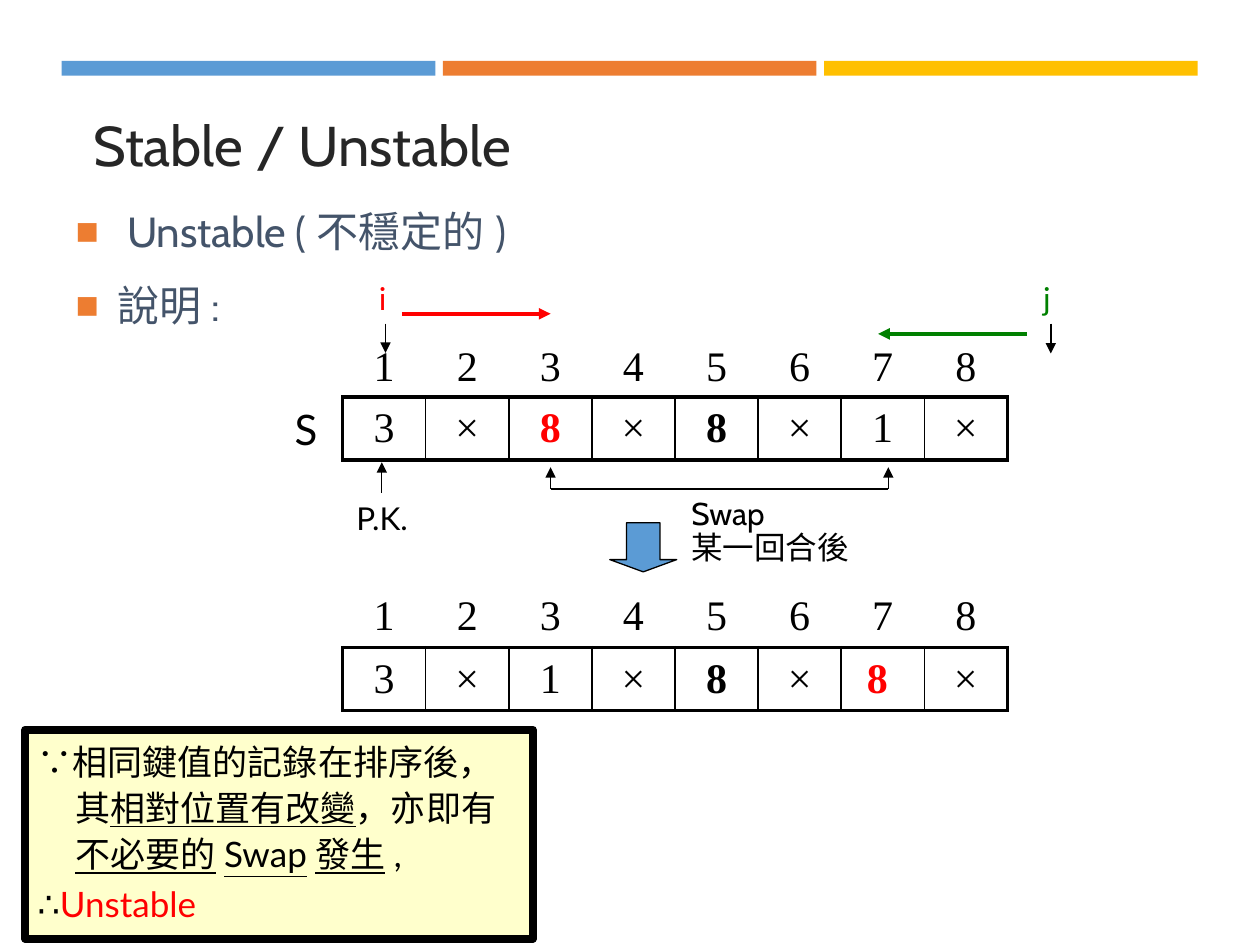
import dataclasses
import typing

import lxml.etree
import pptx
import pptx.dml.color
import pptx.enum.shapes
import pptx.enum.text
import pptx.oxml.ns
import pptx.util

Pt = pptx.util.Pt
qn = pptx.oxml.ns.qn
Kind = pptx.enum.shapes.MSO_SHAPE
Fit = pptx.enum.text.MSO_AUTO_SIZE
Side = pptx.enum.text.PP_ALIGN
Mid = pptx.enum.text.MSO_ANCHOR.MIDDLE
BLACK, RED, GREEN = "000000", "FF0000", "008000"
BLUE, ORANGE, GOLD = "5B9BD5", "ED7D31", "FFC000"


@dataclasses.dataclass
class Box:
    left: float
    top: float
    width: float
    height: float


@dataclasses.dataclass
class Label:
    text: str
    box: Box
    face: str = "Lato"
    size: float = 18
    hue: str = BLACK


@dataclasses.dataclass
class Line:
    x1: float
    y1: float
    x2: float
    y2: float
    hue: str = BLACK
    width: float = 0.75
    head: bool = True


@dataclasses.dataclass
class Grid:
    top: float
    rows: tuple[float, float]
    keys: list[str]
    hot: int


def paint(hue: str) -> pptx.dml.color.RGBColor:
    return pptx.dml.color.RGBColor.from_string(hue)


def style(font: typing.Any, face: str, size: float, hue: str) -> None:
    font.name, font.size = face, Pt(size)
    font.color.rgb = paint(hue)


def place(item: typing.Any, box: Box) -> None:
    item.left, item.top = Pt(box.left), Pt(box.top)
    item.width, item.height = Pt(box.width), Pt(box.height)


def node(base: typing.Any, tag: str, **keys: str) -> typing.Any:
    return lxml.etree.SubElement(base, qn(tag), keys)


def indent(para: typing.Any, size: float) -> typing.Any:
    props = para._p.get_or_add_pPr()
    props.set("marL", str(Pt(size)))
    props.set("indent", str(-Pt(size)))
    return props


def draw_shape(slide: typing.Any, kind: Kind, box: Box, fill: str, edge: float = 0) -> typing.Any:
    shape = slide.shapes.add_shape(kind, 0, 0, 0, 0)
    place(shape, box)
    shape.shadow.inherit = False
    shape.fill.solid()
    shape.fill.fore_color.rgb = paint(fill)
    if edge:
        shape.line.color.rgb = paint(BLACK)
        shape.line.width = Pt(edge)
    else:
        shape.line.fill.background()
    return shape


def draw_label(slide: typing.Any, label: Label) -> None:
    shape = slide.shapes.add_textbox(0, 0, 0, 0)
    place(shape, label.box)
    frame = shape.text_frame
    frame.text = label.text
    frame.word_wrap = False
    frame.auto_size = Fit.SHAPE_TO_FIT_TEXT
    style(frame.paragraphs[0].font, label.face, label.size, label.hue)


def draw_line(slide: typing.Any, line: Line) -> None:
    ends = [Pt(n) for n in (line.x1, line.y1, line.x2, line.y2)]
    link = slide.shapes.add_connector(pptx.enum.shapes.MSO_CONNECTOR.STRAIGHT, *ends)
    link.line.color.rgb = paint(line.hue)
    link.line.width = Pt(line.width)
    if line.head:
        node(link.line._get_or_add_ln(), "a:tailEnd", type="triangle")
    node(link._element.spPr, "a:effectLst")


def edge(cell: typing.Any, tag: str, width: float) -> None:
    rule = node(cell._tc.get_or_add_tcPr(), tag, w=str(Pt(width)))
    node(node(rule, "a:solidFill"), "a:srgbClr", val=BLACK)


def fill_cell(cell: typing.Any, text: str, hue: str, bold: bool) -> None:
    cell.fill.background()
    cell.vertical_anchor = Mid
    cell.margin_top = cell.margin_bottom = Pt(0)
    cell.text = text
    para = cell.text_frame.paragraphs[0]
    para.alignment = Side.CENTER
    style(para.font, "Times New Roman", 24, hue)
    para.font.bold = bold


def draw_grid(slide: typing.Any, grid: Grid) -> None:
    count = len(grid.keys)
    table = slide.shapes.add_table(2, count, Pt(195.8), Pt(grid.top), Pt(380), Pt(sum(grid.rows))).table
    table.first_row = table.horz_banding = False
    for row, height in zip(table.rows, grid.rows):
        row.height = Pt(height)
    for i, key in enumerate(grid.keys):
        table.columns[i].width = Pt(47.5)
        top, low = table.cell(0, i), table.cell(1, i)
        edge(top, "a:lnB", 2.25)
        edge(low, "a:lnL", 1 if i else 2.25)
        edge(low, "a:lnR", 1 if i < count - 1 else 2.25)
        edge(low, "a:lnT", 2.25)
        edge(low, "a:lnB", 2.25)
        fill_cell(top, str(i + 1), BLACK, False)
        fill_cell(low, key, RED if i == grid.hot else BLACK, key.strip() == "8")


def draw_head(slide: typing.Any) -> None:
    title = slide.shapes.title
    place(title, Box(46, 54, 629, 57))
    title.text = "Stable / Unstable"
    title.text_frame.vertical_anchor = Mid
    para = title.text_frame.paragraphs[0]
    para.alignment = Side.LEFT
    style(para.font, "Cabin", 32, "262626")


def draw_list(slide: typing.Any) -> None:
    body = slide.placeholders[1]
    place(body, Box(36, 111, 653, 402))
    frame = body.text_frame
    frame.auto_size = Fit.NONE
    frame.text = " Unstable (不穩定的)\n說明:"
    for para in frame.paragraphs:
        para.line_spacing = 1.1
        para.space_before, para.space_after = Pt(4.8), Pt(6)
        props = indent(para, 24)
        node(node(props, "a:buClr"), "a:srgbClr", val=ORANGE)
        node(props, "a:buSzPct", val="92000")
        node(props, "a:buChar", char="■")
        style(para.font, "Cabin", 24, "44546A")


def draw_note(slide: typing.Any) -> None:
    shape = draw_shape(slide, Kind.RECTANGLE, Box(14.4, 417, 290, 119.5), "FFFFCC", 4.5)
    frame = shape.text_frame
    frame.word_wrap = True
    frame.vertical_anchor = pptx.enum.text.MSO_ANCHOR.TOP
    first, last = frame.paragraphs[0], frame.add_paragraph()
    for para in (first, last):
        para.alignment = Side.LEFT
        para.line_spacing = 1.1
        para.space_before = Pt(2)
        indent(para, 21.6)
        style(para.font, "Lato", 20, BLACK)
    parts = ["∵相同鍵值的記錄在排序後，其", "相對位置有改變", "，亦即有", "不必要的Swap發生", ","]
    for i, text in enumerate(parts):
        run = first.add_run()
        run.text = text
        run.font.underline = i % 2 == 1
    for text, hue in (("∴", BLACK), ("Unstable", RED)):
        run = last.add_run()
        run.text = text
        run.font.color.rgb = paint(hue)


def main() -> None:
    deck = pptx.Presentation()
    deck.slide_width, deck.slide_height = Pt(720), Pt(540)
    slide = deck.slides.add_slide(deck.slide_layouts[1])
    for i, hue in enumerate((BLUE, ORANGE, GOLD)):
        draw_shape(slide, Kind.RECTANGLE, Box(35.3 + i * 217.8, 34.8, 213.5, 8.5), hue)
    draw_head(slide)
    draw_list(slide)
    draw_grid(slide, Grid(193, (33.8, 36), ["3", "×", "8", "×", "8", "×", "1", "×"], 2))
    draw_note(slide)
    draw_grid(slide, Grid(334, (36, 36), ["3", "×", "1", "×", "8", "×", "8 ", "×"], 6))
    draw_shape(slide, Kind.DOWN_ARROW, Box(348.5, 298.8, 38.2, 28), BLUE, 0.75).adjustments[1] = 0.25
    for label in (
        Label("S", Box(161.3, 226.8, 26, 36), size=24),
        Label("某一回合後", Box(388, 298, 104.4, 28.8), "Cabin"),
        Label("P.K.", Box(196.6, 281.5, 44, 28.8)),
        Label("i", Box(209.5, 156.2, 20, 28.8), hue=RED),
        Label("j", Box(589, 156.2, 20, 28.8), hue=GREEN),
        Label("Swap", Box(388, 278.6, 56.2, 28.8), "Cabin"),
    ):
        draw_label(slide, label)
    for line in (
        Line(218.2, 281.5, 218.2, 264.2),
        Line(220.3, 185, 220.3, 201.6),
        Line(600.5, 185, 600.5, 202),
        Line(229.7, 179.3, 314.6, 179.3, RED, 2.25),
        Line(586.8, 190.8, 501.8, 190.8, GREEN, 2.25),
        Line(314.6, 279.4, 314.6, 267),
        Line(314.6, 279.4, 507.6, 279.4, head=False),
        Line(507.6, 279.4, 507.6, 267),
    ):
        draw_line(slide, line)
    deck.save("out.pptx")


if __name__ == "__main__":
    main()
